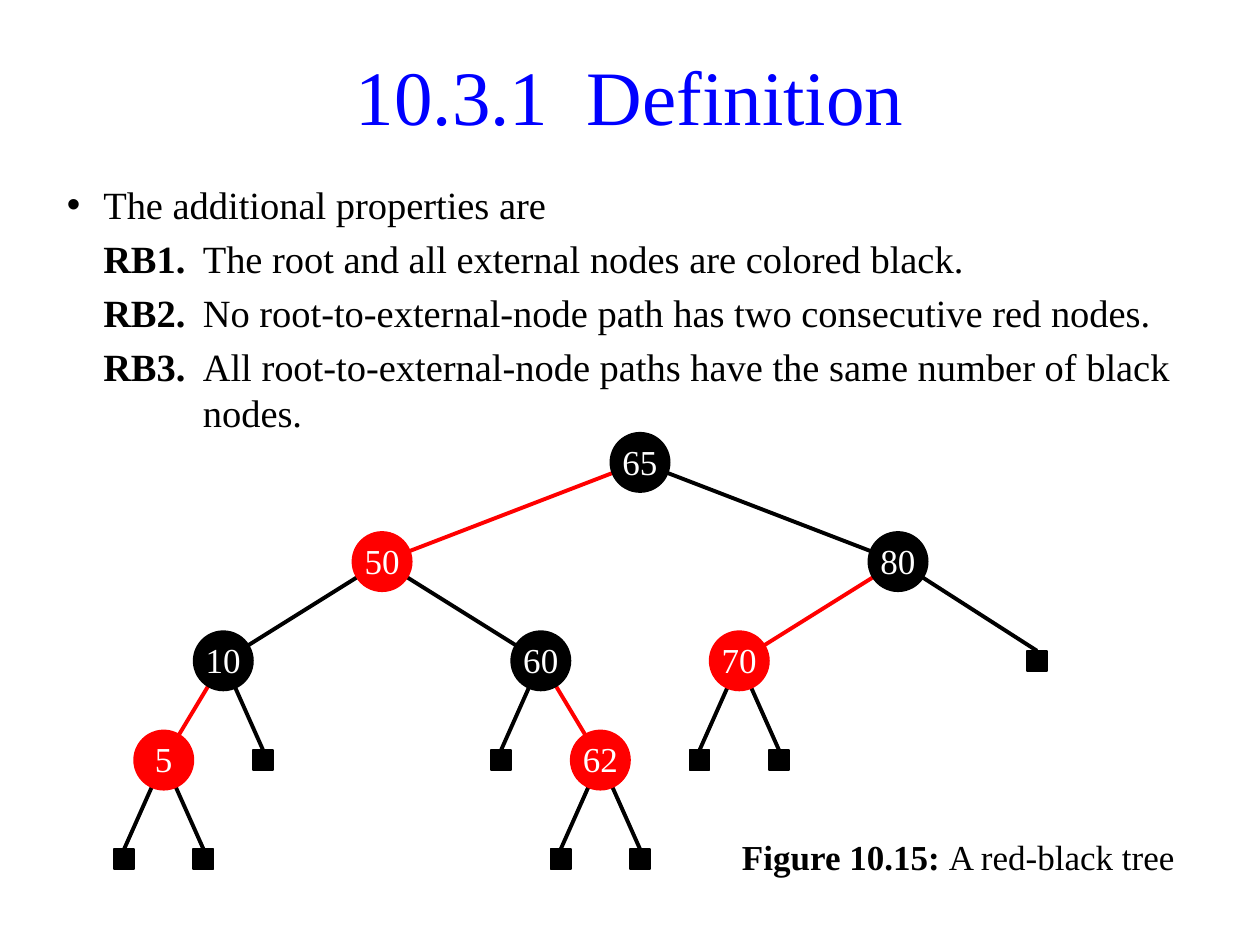
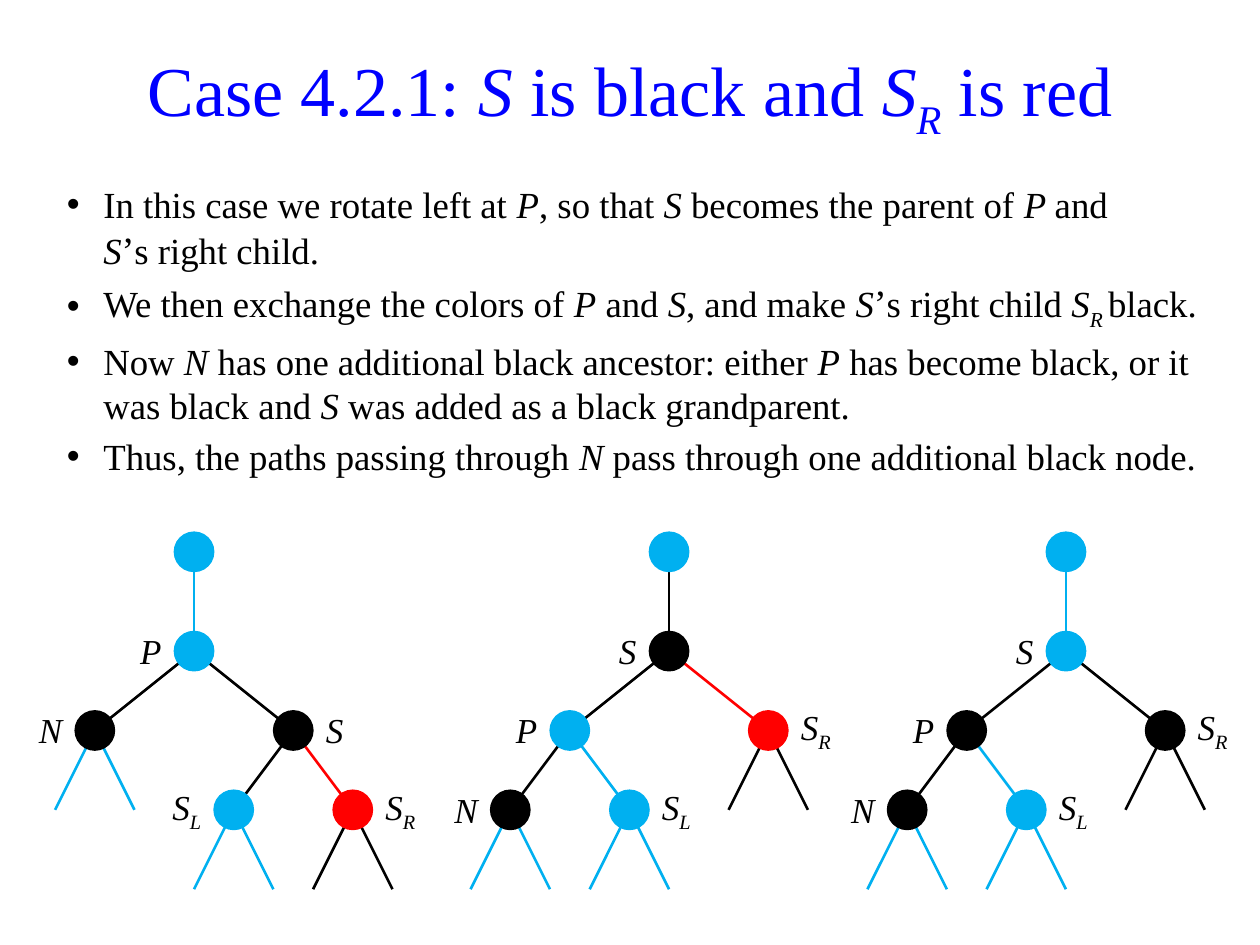
from pptx import Presentation
from pptx.dml.color import RGBColor
from pptx.enum.shapes import MSO_CONNECTOR, MSO_SHAPE
from pptx.enum.text import MSO_ANCHOR, MSO_AUTO_SIZE, PP_ALIGN
from pptx.oxml.ns import qn
from pptx.util import Inches, Pt
from lxml.etree import SubElement

HUES = {"title": "0000FF", "black": "000000", "red": "FF0000",
        "blue": "00B0F0", "white": "FFFFFF"}
FONT = "Times New Roman"
UNIT = 0.63 / 4  # grid step of all trees, in inches


def write(para, runs, size, hue="black"):
    """Add (text, style) runs: b bold, i italic, s italic subscript, q 22 pt."""
    for text, style in runs:
        run = para.add_run()
        run.text = text
        font = run.font
        font.name = FONT
        font.size = Pt(22 if style == "q" else size)
        font.color.rgb = RGBColor.from_string(HUES[hue])
        font.bold = style == "b"
        font.italic = style in ("i", "s")
        if style == "s":
            run._r.get_or_add_rPr().set("baseline", "-25000")


def mark(slide, kind, x, y, size, hue):
    """Draw a plain node centred on x, y."""
    node = slide.shapes.add_shape(kind, Inches(x - size / 2), Inches(y - size / 2),
                                  Inches(size), Inches(size))
    node.shadow.inherit = False
    node.fill.solid()
    node.fill.fore_color.rgb = RGBColor.from_string(HUES[hue])
    node.line.color.rgb = RGBColor.from_string(HUES[hue])
    node.line.width = Pt(1)
    return node


# Wording: title size, title runs, body size, body width, body height, lines
pages = [
    (44, [("10.3.1  Definition", "")], 22, 9.14, 2.21, [
        [("The additional properties are", "")],
        [("RB1.", "b"), ("\tThe root and all external nodes are colored black.", "")],
        [("RB2.", "b"),
         ("\tNo root-to-external-node path has two consecutive red nodes.", "")],
        [("RB3.", "b"),
         ("\tAll root-to-external-node paths have the same number of black nodes.", "")],
    ]),
    (40, [("Case 4.2.1: ", ""), ("S", "i"), (" is black and ", ""), ("S", "i"),
          ("R", "s"), (" is red", "")], 21, 9.29, 2.52, [
        [("In this case we rotate left at ", ""), ("P", "i"), (", so that ", ""),
         ("S", "i"), (" becomes the parent of ", ""), ("P ", "i"), ("and ", ""),
         ("S", "i"), ("’", "q"), ("s right child.", "")],
        [("We then exchange the colors of ", ""), ("P", "i"), (" and ", ""),
         ("S", "i"), (", and make ", ""), ("S", "i"), ("’", "q"),
         ("s right child", ""), (" S", "i"), ("R ", "s"), ("black.", "")],
        [("Now ", ""), ("N", "i"), (" has one additional black ancestor: either ", ""),
         ("P", "i"), (" has become black, or it was black and ", ""), ("S", "i"),
         (" was added as a black grandparent.", "")],
        [("Thus, the paths passing through ", ""), ("N", "i"),
         (" pass through one additional black node.", "")],
    ]),
]

deck = Presentation()
deck.slide_width, deck.slide_height = Inches(10), Inches(7.5)

# Titles and lists
for head, title, size, wide, high, items in pages:
    slide = deck.slides.add_slide(deck.slide_layouts[1])
    top, body = slide.shapes.title, slide.placeholders[1]
    for box, y, w, h in ((top, 0.28, 9.14, 0.94), (body, 1.39, wide, high)):
        box.left, box.top = Inches(0.43), Inches(y)
        box.width, box.height = Inches(w), Inches(h)
        box.text_frame.auto_size = MSO_AUTO_SIZE.NONE
    top.text_frame.vertical_anchor = MSO_ANCHOR.MIDDLE
    para = top.text_frame.paragraphs[0]
    para.alignment = PP_ALIGN.CENTER
    write(para, title, head, "title")
    for k, runs in enumerate(items):
        frame = body.text_frame
        para = frame.add_paragraph() if k else frame.paragraphs[0]
        rule = runs[0][1] == "b"
        props = para._p.get_or_add_pPr()
        props.set("marL", str(Inches(1.08 if rule else 0.29)))
        props.set("indent", str(Inches(-0.79 if rule else -0.29)))
        if rule:
            SubElement(props, qn("a:buNone"))
        else:
            SubElement(props, qn("a:buChar")).set("char", "•")
        if runs[-1][0] == "s right child.":  # break ahead of "S’s"
            write(para, runs[:-3], size)
            para.add_line_break()
            runs = runs[-3:]
        write(para, runs, size)

first, second = deck.slides
joins = []  # slide, start, end, hue, width, square at the end

# Red-black tree: name, parent, column and row on the grid, hue
nodes = [
    ("65", None, 0, 0, "black"), ("50", "65", -13, 1, "red"),
    ("80", "65", 13, 1, "black"), ("10", "50", -21, 2, "black"),
    ("60", "50", -5, 2, "black"), ("70", "80", 5, 2, "red"),
    ("5", "10", -24, 3, "red"), ("62", "60", -2, 3, "red"),
]
leaves = [("80", 20, 2), ("10", -19, 3), ("60", -7, 3), ("70", 3, 3),
          ("70", 7, 3), ("5", -26, 4), ("5", -22, 4), ("62", -4, 4), ("62", 0, 4)]
spots = {}
for name, above, col, row, hue in nodes:
    x, y = spots[name] = 5.08 + col * UNIT, 3.67 + row * 5 * UNIT
    node = mark(first, MSO_SHAPE.OVAL, x, y, 0.47, hue)
    frame = node.text_frame
    frame.margin_left = frame.margin_right = frame.margin_top = 0
    frame.margin_bottom = Inches(0.01)
    frame.word_wrap = False
    frame.vertical_anchor = MSO_ANCHOR.BOTTOM
    frame.paragraphs[0].alignment = PP_ALIGN.CENTER
    write(frame.paragraphs[0], [(name, "")], 20, "white")
    if above:
        joins.append((first, spots[above], (x, y), hue, 2.25, None))
for above, col, row in leaves:
    x, y = 5.08 + col * UNIT, 3.67 + row * 5 * UNIT
    leaf = mark(first, MSO_SHAPE.RECTANGLE, x, y, 0.16, "black")
    joins.append((first, spots[above], (x, y - 0.08), "black", 2.25, leaf))

# Caption
note = first.shapes.add_textbox(Inches(5.79), Inches(6.58), Inches(3.78), Inches(0.47))
note.text_frame.word_wrap = True
para = note.text_frame.paragraphs[0]
para.space_before = Pt(4)
write(para, [("Figure 10.15: ", "b"), ("A red-black tree", "")], 20)

# Rotation steps: name, parent, column, row, label side, node, edge and stub hues
rows = [4.38 + n * UNIT for n in (0, 5, 9, 13, 17)]
steps = [
    (1.54, [("P", "", 0, 1, "l", "blue", "blue", None),
            ("N", "P", -5, 2, "l", "black", "black", "blue"),
            ("S", "P", 5, 2, "r", "black", "black", None),
            ("SL", "S", 2, 3, "l", "blue", "black", "blue"),
            ("SR", "S", 8, 3, "r", "red", "red", "black")]),
    (5.31, [("S", "", 0, 1, "l", "black", "black", None),
            ("P", "S", -5, 2, "l", "blue", "black", None),
            ("SR", "S", 5, 2, "r", "red", "red", "black"),
            ("N", "P", -8, 3, "l", "black", "black", "blue"),
            ("SL", "P", -2, 3, "r", "blue", "blue", "blue")]),
    (8.46, [("S", "", 0, 1, "l", "blue", "blue", None),
            ("P", "S", -5, 2, "l", "black", "black", None),
            ("SR", "S", 5, 2, "r", "black", "black", "black"),
            ("N", "P", -8, 3, "l", "black", "black", "blue"),
            ("SL", "P", -2, 3, "r", "blue", "blue", "blue")]),
]
for mid, tree in steps:
    mark(second, MSO_SHAPE.OVAL, mid, rows[0], 0.31, "blue")
    spots = {"": (mid, rows[0])}
    for name, above, col, row, side, hue, edge, stub in tree:
        x, y = spots[name] = mid + col * UNIT, rows[row]
        mark(second, MSO_SHAPE.OVAL, x, y, 0.31, hue)
        end = (x, y) if above else (x, y - 0.16)
        joins.append((second, spots[above], end, edge, 1.5, None))
        if stub:
            for step in (-2, 2):
                tip = (x + step * UNIT, rows[row + 1])
                joins.append((second, (x, y), tip, stub, 1.5, None))
        # Label beside the node
        left = x - 0.63 if side == "l" else x + 0.16
        tag = second.shapes.add_textbox(Inches(left), Inches(y - 0.32),
                                        Inches(0.47), Inches(0.63))
        frame = tag.text_frame
        frame.word_wrap = True
        frame.vertical_anchor = MSO_ANCHOR.MIDDLE
        para = frame.paragraphs[0]
        if side == "l":
            frame.margin_left = 0
            para.alignment = PP_ALIGN.RIGHT
        else:
            frame.margin_right = 0
        write(para, [(name[0], "i")] + [(sub, "s") for sub in name[1:]], 20)

# Edges, placed behind the nodes
for slide, start, end, hue, width, leaf in joins:
    line = slide.shapes.add_connector(MSO_CONNECTOR.STRAIGHT,
                                      *(Inches(v) for v in start + end))
    line.line.color.rgb = RGBColor.from_string(HUES[hue])
    line.line.width = Pt(width)
    SubElement(line._element.spPr, qn("a:effectLst"))
    if leaf is not None:
        line.end_connect(leaf, 0)
    line._element.getparent().insert(2, line._element)

deck.save("out.pptx")
